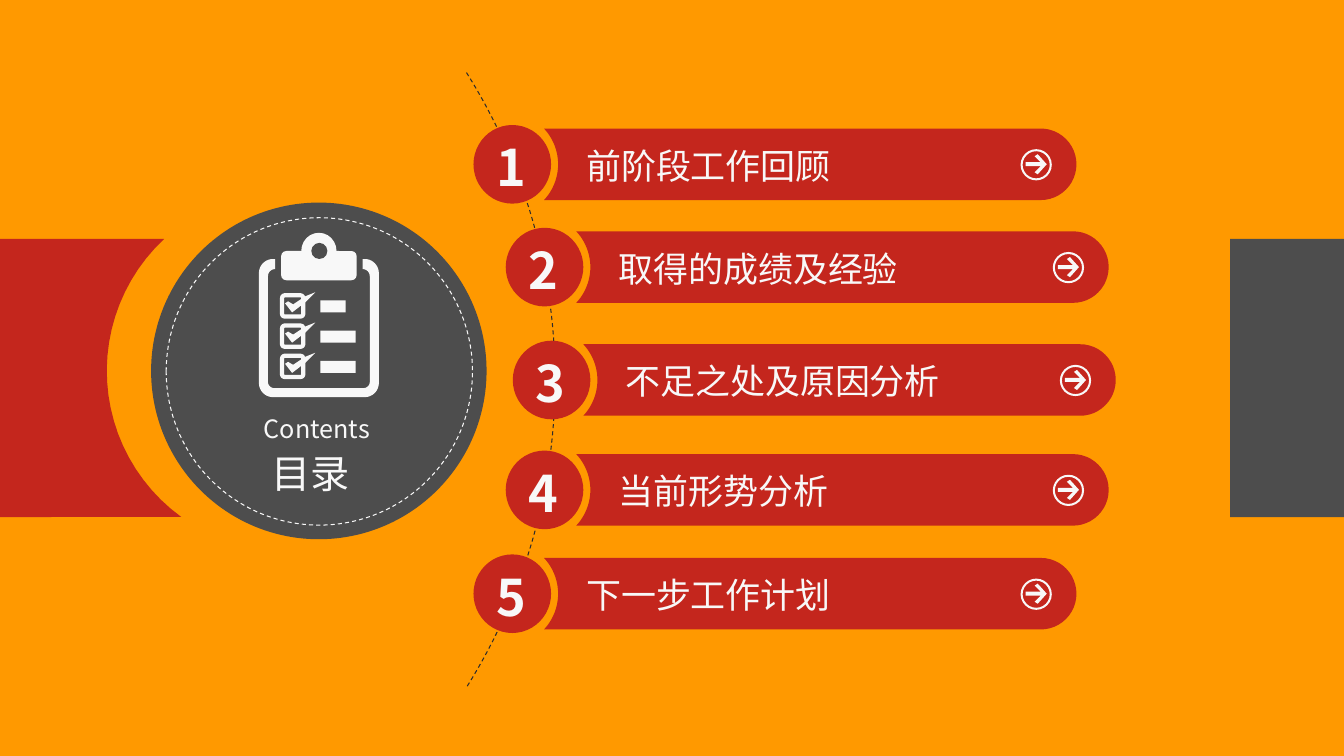
from math import asin, cos, degrees, radians, sin

from lxml import etree
from pptx import Presentation
from pptx.dml.color import RGBColor
from pptx.enum.dml import MSO_LINE
from pptx.enum.shapes import MSO_SHAPE
from pptx.enum.text import MSO_ANCHOR
from pptx.oxml.ns import qn
from pptx.util import Inches, Pt

FONT = "Noto Sans CJK SC"
ORANGE, RED, GREY, WHITE, BLACK = "FF9900", "C4261D", "4D4D4D", "F8F8F8", "2E2C2C"
TOPICS = [
    ("前阶段工作回顾", 4.7, 1.24),
    ("取得的成绩及经验", 5.02, 2.26),
    ("不足之处及原因分析", 5.09, 3.38),
    ("当前形势分析", 5.02, 4.47),
    ("下一步工作计划", 4.7, 5.5),
]


def rgb(value):
    """Turn a hex string into a colour."""
    return RGBColor.from_string(value)


def paint(shape, fill=None, line=None, weight=0.75, dash=None):
    """Set the fill and the outline of a shape, without shadow."""
    shape.shadow.inherit = False
    if fill:
        shape.fill.solid()
        shape.fill.fore_color.rgb = rgb(fill)
    else:
        shape.fill.background()
    if line:
        shape.line.color.rgb = rgb(line)
        for name, value in {"width": Pt(weight), "dash_style": dash}.items():
            setattr(shape.line, name, value)
    else:
        shape.line.fill.background()
    return shape


def preset(slide, kind, left, top, width, height, adjust=None, **style):
    """Draw a preset shape."""
    shape = slide.shapes.add_shape(kind, Inches(left), Inches(top), Inches(width), Inches(height))
    if adjust is not None:
        shape.adjustments[0] = adjust
    return paint(shape, **style)


def arc(x, y, radius, start, end, steps=24):
    """List points on a circle, with angles in degrees clockwise from the right."""
    angles = [radians(start + (end - start) * i / steps) for i in range(steps + 1)]
    return [(x + radius * cos(a), y + radius * sin(a)) for a in angles]


def outline(slide, left, top, points, closed=True, **style):
    """Draw a freeform through points given relative to a corner."""
    places = [(Inches(left + x), Inches(top + y)) for x, y in points]
    builder = slide.shapes.build_freeform(*places[0])
    builder.add_line_segments(places[1:], close=closed)
    return paint(builder.convert_to_shape(), **style)


def label(slide, words, left, top, width, height, size, bold=False):
    """Write one line of white text."""
    box = slide.shapes.add_textbox(Inches(left), Inches(top), Inches(width), Inches(height))
    frame = box.text_frame
    for name, value in {"word_wrap": False, "vertical_anchor": MSO_ANCHOR.MIDDLE}.items():
        setattr(frame, name, value)
    run = frame.paragraphs[0].add_run()
    run.text = words
    for name, value in {"name": FONT, "size": Pt(size), "bold": bold}.items():
        setattr(run.font, name, value)
    run.font.color.rgb = rgb(WHITE)
    etree.SubElement(run.font._element, qn("a:ea")).set("typeface", FONT)


def guide_arc(slide, left, top, width, height):
    """Draw the dashed curve that the topics follow."""
    half = height / 2
    radius = (half ** 2 + width ** 2) / (2 * width)
    sweep = degrees(asin(half / radius))
    outline(slide, left, top, arc(width - radius, half, radius, -sweep, sweep, 60),
            closed=False, line=BLACK, weight=0, dash=MSO_LINE.DASH)


def topic(slide, number, title, left, top):
    """Draw a numbered badge with its bar, title and arrow."""
    middle, half, hollow = 0.39, 0.355, 0.52
    sweep = degrees(asin(half / hollow))
    bar = arc(5.63, middle, half, -90, 90) + arc(0.32, middle, hollow, sweep, -sweep)
    outline(slide, left, top, bar, fill=RED)
    preset(slide, MSO_SHAPE.DONUT, left + 5.43, top + 0.24, 0.31, 0.31, 0.065, fill=WHITE)
    upper = [(-0.1, -0.02), (0.05, -0.02), (-0.01, -0.08), (0.02, -0.1)]
    lower = [(x, -y) for x, y in reversed(upper)]
    outline(slide, left + 5.58, top + 0.39, upper + [(0.11, 0)] + lower, fill=WHITE)
    label(slide, title, left + 1.02, top + 0.13, 0.2 + 0.36 * len(title), 0.54, 25)
    preset(slide, MSO_SHAPE.OVAL, left, top, 0.77, 0.78, fill=RED)
    label(slide, str(number), left + 0.13, top + 0.06, 0.51, 0.71, 36, True)


def clipboard(slide, left, top):
    """Draw a clipboard with three ticked lines."""
    outer = [(0.16, 0.26)] + arc(0.14, 0.4, 0.14, 270, 180) + arc(0.14, 1.49, 0.14, 180, 90)
    inner = [(0.16, 0.36)] + arc(0.16, 0.43, 0.07, 270, 180) + arc(0.15, 1.48, 0.06, 180, 90)
    edge = outer + [(1.19 - x, y) for x, y in reversed(outer)]
    hole = inner + [(1.19 - x, y) for x, y in reversed(inner)]
    outline(slide, left, top, edge + hole[::-1], fill=WHITE)
    preset(slide, MSO_SHAPE.ROUNDED_RECTANGLE, left + 0.22, top + 0.18, 0.75, 0.29, 0.18, fill=WHITE)
    preset(slide, MSO_SHAPE.OVAL, left + 0.42, top, 0.35, 0.36, fill=WHITE)
    preset(slide, MSO_SHAPE.OVAL, left + 0.52, top + 0.1, 0.16, 0.16, fill=GREY)
    tick = [(0.05, 0.1), (0.08, 0.08), (0.13, 0.11), (0.25, 0.03),
            (0.35, -0.01), (0.25, 0.09), (0.12, 0.19)]
    for row, width in enumerate((0.25, 0.35, 0.35)):
        line_top = top + 0.6 + 0.3 * row
        preset(slide, MSO_SHAPE.ROUNDED_RECTANGLE, left + 0.23, line_top + 0.02, 0.21, 0.21, 0.12,
               line=WHITE, weight=3)
        outline(slide, left + 0.21, line_top, tick, fill=WHITE)
        preset(slide, MSO_SHAPE.RECTANGLE, left + 0.61, line_top + 0.07, width, 0.12, fill=WHITE)


def side_panels(slide, top, height):
    """Draw the red panel on the left and the grey one on the right."""
    hollow = arc(2.85, 1.31, 1.79, 227, 126)
    outline(slide, 0, top, [(0, 0)] + hollow + [(0, height)], fill=RED)
    preset(slide, MSO_SHAPE.RECTANGLE, 12.21, top, 1.13, height, fill=GREY)


def contents_disc(slide, left, top):
    """Draw the grey disc with the clipboard and the heading."""
    preset(slide, MSO_SHAPE.OVAL, left, top, 3.33, 3.34, fill=GREY)
    preset(slide, MSO_SHAPE.OVAL, left + 0.15, top + 0.15, 3.04, 3.05,
           line=WHITE, dash=MSO_LINE.DASH)
    clipboard(slide, left + 1.07, top + 0.3)
    label(slide, "目录", left + 1.1, top + 2.4, 1.14, 0.57, 28)
    label(slide, "Contents", left + 1.02, top + 2.04, 1.29, 0.4, 18)


def main():
    """Build the contents slide."""
    deck = Presentation()
    deck.slide_width, deck.slide_height = Inches(13.34), Inches(7.5)
    slide = deck.slides.add_slide(deck.slide_layouts[6])
    slide.background.fill.solid()
    slide.background.fill.fore_color.rgb = rgb(ORANGE)
    guide_arc(slide, 4.63, 0.72, 0.88, 6.1)
    for number, (title, left, top) in enumerate(TOPICS, 1):
        topic(slide, number, title, left, top)
    side_panels(slide, 2.37, 2.76)
    contents_disc(slide, 1.5, 2.01)
    deck.save("out.pptx")


if __name__ == "__main__":
    main()
